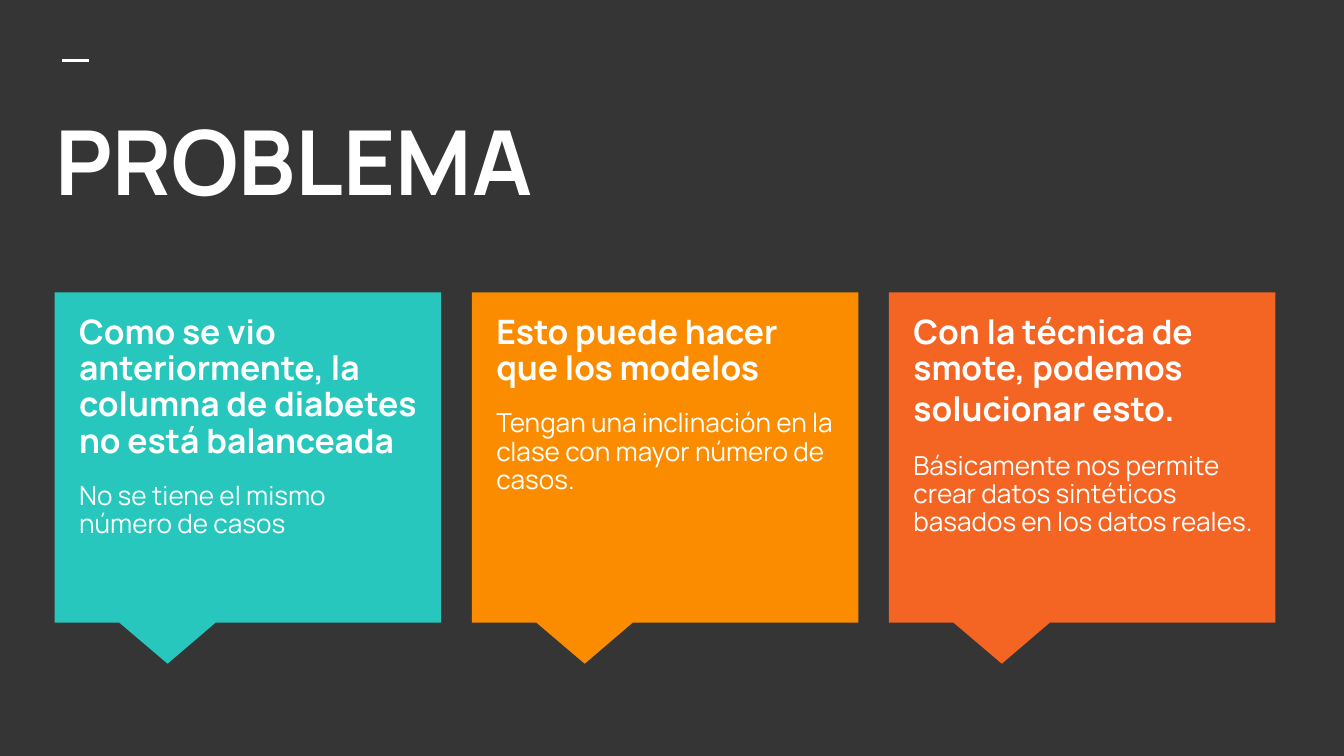
import pptx
import pptx.util
import pptx.dml.color
import pptx.enum.shapes
import pptx.enum.text
import pptx.oxml.ns
import lxml.etree

Pt = pptx.util.Pt
FONT = "Manrope"
COLORS = {
    "background": "353535",
    "text": "FFFFFF",
    "teal": "27C7BD",
    "amber": "FB8C00",
    "orange": "F46524",
}
# Fill, heading runs (text, size), explanation
CARDS = [
    ("teal",
     [("Como se vio anteriormente, la columna de diabetes no está balanceada", 18)],
     "No se tiene el mismo número de casos"),
    ("amber",
     [("Esto puede hacer que los modelos", 18)],
     "Tengan una inclinación en la clase con mayor número de casos."),
    ("orange",
     [("Con la técnica de smote, podemos solucionar esto.", 18), (" ", 21)],
     "Básicamente nos permite crear datos sintéticos basados en los datos reales."),
]


def color(key):
    return pptx.dml.color.RGBColor.from_string(COLORS[key])


def prepare_frame(frame):
    frame.word_wrap = True
    frame.auto_size = pptx.enum.text.MSO_AUTO_SIZE.NONE
    frame.vertical_anchor = pptx.enum.text.MSO_ANCHOR.TOP
    frame.margin_left = frame.margin_right = Pt(7.2)
    frame.margin_top = frame.margin_bottom = Pt(7.2)


def write_paragraph(paragraph, runs, bold, spacing=0):
    paragraph.alignment = pptx.enum.text.PP_ALIGN.LEFT
    paragraph.line_spacing = 0.9
    paragraph.space_before = paragraph.space_after = Pt(spacing)
    for text, size in runs:
        run = paragraph.add_run()
        run.text = text
        run.font.name = FONT
        run.font.size = Pt(size)
        run.font.bold = bold
        run.font.color.rgb = color("text")


def add_accent(slide, left, top, width):
    accent = slide.shapes.add_connector(
        pptx.enum.shapes.MSO_CONNECTOR.STRAIGHT,
        Pt(left), Pt(top), Pt(left + width), Pt(top))
    accent.line.color.rgb = color("text")
    accent.line.width = Pt(1.5)
    lxml.etree.SubElement(accent._element.spPr, pptx.oxml.ns.qn("a:effectLst"))


def place_title(slide, left, top, width, height):
    title = slide.shapes.title
    title.left, title.top = Pt(left), Pt(top)
    title.width, title.height = Pt(width), Pt(height)
    prepare_frame(title.text_frame)
    write_paragraph(title.text_frame.paragraphs[0], [("PROBLEMA", 48)], True)


def add_card(slide, left, top, width, height, fill, heading, explanation):
    # Callout with its tail pointing down
    callout = slide.shapes.add_shape(
        pptx.enum.shapes.MSO_SHAPE.RECTANGULAR_CALLOUT,
        Pt(left), Pt(top), Pt(width), Pt(height))
    callout.adjustments[0] = -0.208
    callout.adjustments[1] = 0.625
    callout.shadow.inherit = False
    callout.fill.solid()
    callout.fill.fore_color.rgb = color(fill)
    callout.line.fill.background()

    # Heading and explanation
    message = slide.shapes.add_textbox(
        Pt(left + 6), Pt(top + 5), Pt(width - 9), Pt(height - 19)).text_frame
    prepare_frame(message)
    write_paragraph(message.paragraphs[0], heading, True)
    write_paragraph(message.add_paragraph(), [(explanation, 14)], False, 12)


def add_cards(slide, left, top, width, height, gap):
    card_width = (width - gap * (len(CARDS) - 1)) / len(CARDS)
    for index, card in enumerate(CARDS):
        add_card(slide, left + index * (card_width + gap), top,
                 card_width, height, *card)


def main():
    deck = pptx.Presentation()
    deck.slide_width, deck.slide_height = Pt(720), Pt(405)
    slide = deck.slides.add_slide(deck.slide_layouts.get_by_name("Title Only"))
    slide.background.fill.solid()
    slide.background.fill.fore_color.rgb = color("background")

    add_accent(slide, left=33.5, top=32.5, width=14)
    place_title(slide, left=22.5, top=56, width=679, height=81)
    add_cards(slide, left=29.3, top=156.7, width=654, height=176.8, gap=16.4)
    deck.save("out.pptx")


if __name__ == "__main__":
    main()
